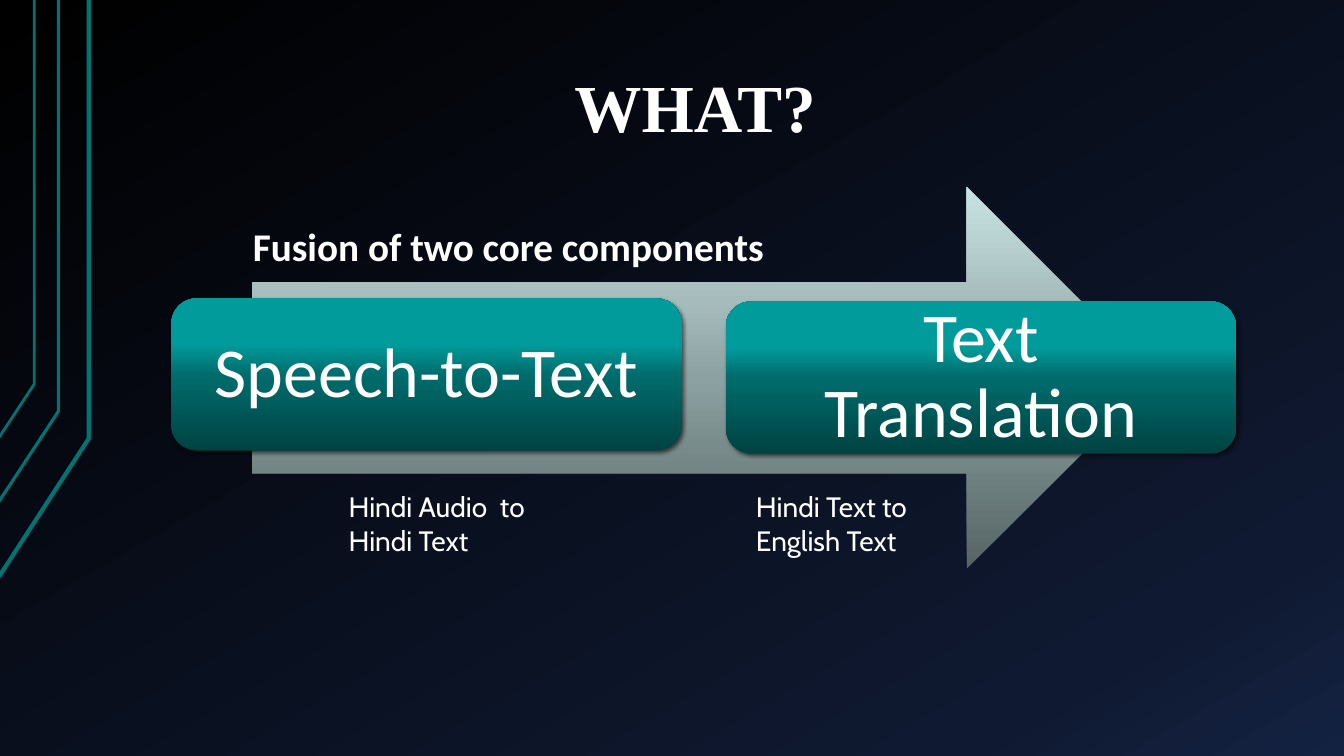
"""Build the WHAT? slide: an arrow carrying two core components."""
from dataclasses import dataclass

from lxml.etree import SubElement
from pptx import Presentation
from pptx.dml.color import RGBColor
from pptx.dml.fill import FillFormat
from pptx.enum.shapes import MSO_SHAPE
from pptx.enum.text import MSO_ANCHOR, PP_ALIGN
from pptx.oxml.ns import qn
from pptx.oxml.xmlchemy import BaseOxmlElement
from pptx.shapes.autoshape import Shape
from pptx.slide import Slide
from pptx.text.text import TextFrame
from pptx.util import Emu, Pt

PX = 9144
COLORS = {"text": "FFFFFF", "rail": "007373", "shadow": "000000"}
Stops = tuple[tuple[int, str], ...]
NIGHT: Stops = ((0, "000000"), (85, "0F1931"), (100, "142242"))
SILVER: Stops = ((0, "566464"), (50, "8CA1A1"), (70, "A6BCBC"), (100, "C7E2E2"))
TEAL: Stops = ((0, "004343"), (50, "006C6C"), (70, "019B9B"), (100, "009999"))


@dataclass(frozen=True)
class Rail:
    points: tuple[tuple[int, int], ...]
    weight: float


@dataclass(frozen=True)
class Component:
    name: str
    left: int
    top: int
    detail: str
    detail_left: int


RAILS = (
    Rail(((-1, 572), (88, 435), (88, 0)), 3),
    Rail(((-2, 499), (58, 408), (58, 0)), 2.25),
    Rail(((-1, 434), (34, 381), (34, 0)), 2),
)
COMPONENTS = (
    Component("Speech-to-Text", 170, 296, "Hindi Audio  to\nHindi Text", 336),
    Component("Text Translation", 720, 299, "Hindi Text to\nEnglish Text", 740),
)


def px(length: int) -> Emu:
    """Turn px into EMU."""
    return Emu(length * PX)


def set_gradient(fill: FillFormat, owner: BaseOxmlElement, stops: Stops, angle: int) -> None:
    """Apply a linear gradient, its angle counted counter-clockwise."""
    fill.gradient()
    fill.gradient_angle = angle
    stop_list = next(owner.iter(qn("a:gsLst")))
    for default_stop in list(stop_list):
        stop_list.remove(default_stop)
    for position, color in stops:
        stop = SubElement(stop_list, qn("a:gs"), pos=str(position * 1000))
        SubElement(stop, qn("a:srgbClr"), val=color)


def write(frame: TextFrame, text: str, *, size: int, font: str, bold: bool = False,
          align: PP_ALIGN = PP_ALIGN.LEFT, anchor: MSO_ANCHOR = MSO_ANCHOR.TOP,
          spacing: float = 1.0, insets: tuple[int, int, int, int] = (10, 5, 10, 5)) -> None:
    """Fill a frame with formatted text, one paragraph a line."""
    frame.text = text
    frame.word_wrap = True
    frame.vertical_anchor = anchor
    (frame.margin_left, frame.margin_top,
     frame.margin_right, frame.margin_bottom) = map(px, insets)
    for paragraph in frame.paragraphs:
        paragraph.alignment = align
        paragraph.line_spacing = spacing
        for run in paragraph.runs:
            run.font.size = Pt(size)
            run.font.name = font
            run.font.bold = bold
            run.font.color.rgb = RGBColor.from_string(COLORS["text"])


def add_label(slide: Slide, left: int, top: int, width: int, height: int) -> TextFrame:
    """Add a text box and return its frame."""
    return slide.shapes.add_textbox(px(left), px(top), px(width), px(height)).text_frame


def add_rail(slide: Slide, rail: Rail) -> None:
    """Draw one bent line at the left edge."""
    start, *rest = [(px(x), px(y)) for x, y in rail.points]
    builder = slide.shapes.build_freeform(*start)
    builder.add_line_segments(rest, close=False)
    outline = builder.convert_to_shape()
    outline.shadow.inherit = False
    outline.fill.background()
    outline.line.color.rgb = RGBColor.from_string(COLORS["rail"])
    outline.line.width = Pt(rail.weight)


def add_block(slide: Slide, kind: MSO_SHAPE, left: int, top: int, width: int,
              height: int, stops: Stops) -> Shape:
    """Add a borderless preset shape shaded from bottom to top."""
    block = slide.shapes.add_shape(kind, px(left), px(top), px(width), px(height))
    block.shadow.inherit = False
    block.line.fill.background()
    set_gradient(block.fill, block.element, stops, 90)
    return block


def add_shadow(block: Shape) -> None:
    """Cast a soft shadow to the lower right."""
    effects = next(block.element.iter(qn("a:effectLst")))
    shadow = SubElement(effects, qn("a:outerShdw"), blurRad=str(Pt(3)), dist=str(Pt(2)),
                        dir=str(45 * 60000), algn="ctr", rotWithShape="0")
    color = SubElement(shadow, qn("a:srgbClr"), val=COLORS["shadow"])
    SubElement(color, qn("a:alpha"), val="60000")


def add_component(slide: Slide, component: Component) -> None:
    """Draw one component and the detail below it."""
    card = add_block(slide, MSO_SHAPE.ROUNDED_RECTANGLE, component.left, component.top,
                     506, 151, TEAL)
    add_shadow(card)
    write(card.text_frame, component.name, size=50, font="Calibri", spacing=0.9,
          align=PP_ALIGN.CENTER, anchor=MSO_ANCHOR.MIDDLE, insets=(29, 29, 29, 29))
    detail = add_label(slide, component.detail_left, 481, 404, 77)
    write(detail, component.detail, size=20, font="Cabin")


def main() -> None:
    """Build and save the slide."""
    deck = Presentation()
    deck.slide_width, deck.slide_height = px(1333), px(750)
    slide = deck.slides.add_slide(deck.slide_layouts[6])
    set_gradient(slide.background.fill, slide.element, NIGHT, 300)
    for rail in RAILS:
        add_rail(slide, rail)
    write(add_label(slide, 123, 35, 1133, 181), "WHAT?", size=48, font="Times New Roman",
          bold=True, align=PP_ALIGN.CENTER, anchor=MSO_ANCHOR.BOTTOM, spacing=0.9,
          insets=(13, 7, 13, 76))
    add_block(slide, MSO_SHAPE.RIGHT_ARROW, 250, 186, 898, 378, SILVER)
    for component in COMPONENTS:
        add_component(slide, component)
    write(add_label(slide, 241, 216, 717, 57), "Fusion of two core components",
          size=28, font="Calibri", bold=True)
    deck.save("out.pptx")


if __name__ == "__main__":
    main()
